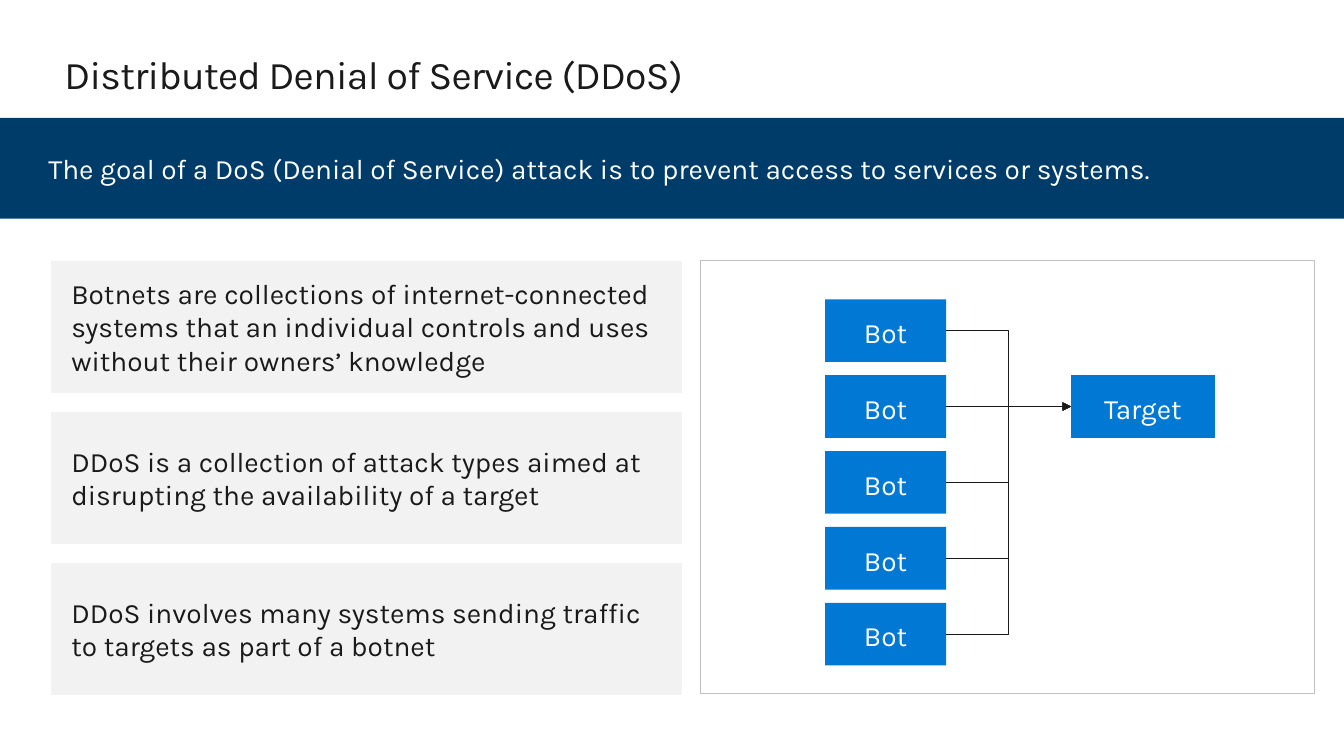
import pptx
import pptx.util
import pptx.dml.color
import pptx.enum.shapes
import pptx.enum.text
import pptx.oxml
import pptx.oxml.ns

Pt = pptx.util.Pt
ANCHOR = pptx.enum.text.MSO_ANCHOR
ALIGN = pptx.enum.text.PP_ALIGN

TITLE = "Distributed Denial of Service (DDoS)"
GOAL = "The goal of a DoS (Denial of Service) attack is to prevent access to services or systems."
FACTS = [
    "Botnets are collections of internet-connected systems that an individual controls "
    "and uses without their owners’ knowledge",
    "DDoS is a collection of attack types aimed at disrupting the availability of a target",
    "DDoS involves many systems sending traffic to targets as part of a botnet",
]
BOTS = ["Bot"] * 5
TARGET, TARGET_ROW = "Target", 1

FONT = "Karla"
INK, WHITE, NAVY, BLUE, PALE, GREY = "1A1A1A", "FFFFFF", "003C6A", "0078D4", "F2F2F2", "BFBFBF"

SLIDE_W, SLIDE_H = 960, 540
FACT_TOP, FACT_STEP = 186.4, 108
BOT_TOP, BOT_STEP, BOT_H = 213.8, 54.2, 44.8


def rgb(value):
    return pptx.dml.color.RGBColor.from_string(value)


def write(sp, text, size, color, insets, anchor, align=ALIGN.LEFT):
    """Set the text of a shape; insets are left/right and top/bottom in points."""
    tf = sp.text_frame
    tf.word_wrap = True
    tf.vertical_anchor = anchor
    tf.margin_left = tf.margin_right = Pt(insets[0])
    tf.margin_top = tf.margin_bottom = Pt(insets[1])
    p = tf.paragraphs[0]
    p.alignment = align
    r = p.add_run()
    r.text = text
    r.font.name, r.font.size = FONT, Pt(size)
    r.font.color.rgb = rgb(color)
    return r


def box(s, x, y, w, h, fill=None, line=None, weight=0.75):
    sp = s.shapes.add_shape(pptx.enum.shapes.MSO_SHAPE.RECTANGLE, Pt(x), Pt(y), Pt(w), Pt(h))
    sp.shadow.inherit = False
    if fill:
        sp.fill.solid()
        sp.fill.fore_color.rgb = rgb(fill)
    else:
        sp.fill.background()
    if line:
        sp.line.color.rgb = rgb(line)
        sp.line.width = Pt(weight)
    else:
        sp.line.fill.background()
    return sp


def node(s, x, row, w, text):
    """Blue box of the attack diagram, placed on a row."""
    sp = box(s, x, BOT_TOP + row * BOT_STEP, w, BOT_H, BLUE)
    write(sp, text, 20, WHITE, (14.4, 11.5), ANCHOR.TOP, ALIGN.CENTER)
    return sp


def arrow(s, start, end):
    """Elbow arrow from the right side of one box to the left side of another."""
    cx = s.shapes.add_connector(pptx.enum.shapes.MSO_CONNECTOR.ELBOW, 0, 0, 0, 0)
    cx.begin_connect(start, 3)
    cx.end_connect(end, 1)
    cx.line.color.rgb = rgb(INK)
    cx.line.width = Pt(0.75)
    ns = pptx.oxml.ns.nsdecls("a")
    cx.line._get_or_add_ln().append(pptx.oxml.parse_xml(f'<a:tailEnd {ns} type="triangle"/>'))
    cx._element.spPr.append(pptx.oxml.parse_xml(f"<a:effectLst {ns}/>"))


def main():
    prs = pptx.Presentation()
    prs.slide_width, prs.slide_height = Pt(SLIDE_W), Pt(SLIDE_H)
    s = prs.slides.add_slide(prs.slide_layouts[6])

    title = s.shapes.add_textbox(Pt(46), Pt(36), Pt(868), Pt(34))
    r = write(title, TITLE, 28, INK, (0, 0), ANCHOR.TOP)
    r.font._element.set("spc", "-50")

    band = box(s, 0, 84.2, SLIDE_W, 72, NAVY)
    write(band, GOAL, 20, WHITE, (34.5, 3.6), ANCHOR.MIDDLE)

    for i, fact in enumerate(FACTS):
        sp = box(s, 36.5, FACT_TOP + i * FACT_STEP, 450, 93.6, PALE, PALE, 0.5)
        write(sp, fact, 20, INK, (14.4, 10.8), ANCHOR.MIDDLE)

    bots = [node(s, 589.4, i, 86.4, text) for i, text in enumerate(BOTS)]
    target = node(s, 765, TARGET_ROW, 102.8, TARGET)
    for bot in bots:
        arrow(s, bot, target)

    box(s, 500.4, 186.1, 438.6, 309.3, line=GREY)
    prs.save("out.pptx")


if __name__ == "__main__":
    main()
